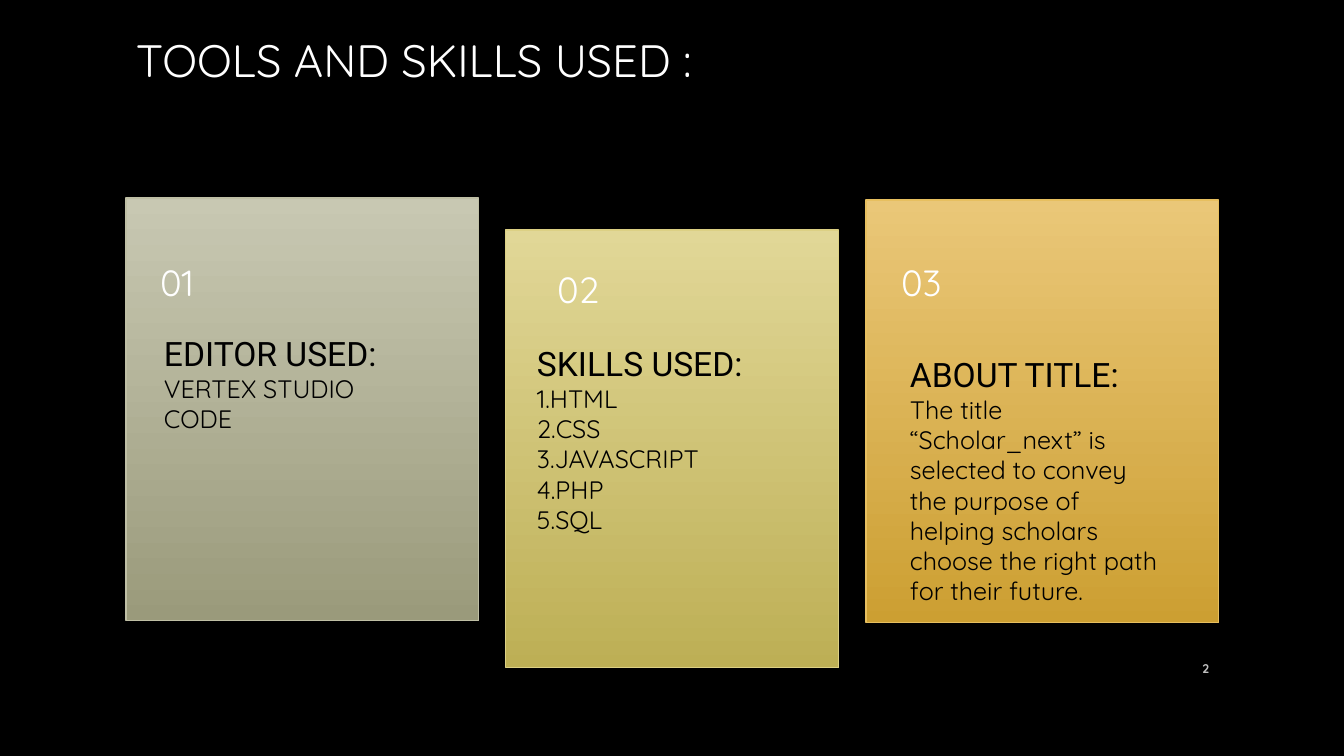
from dataclasses import dataclass
from typing import Any, NamedTuple

from pptx import Presentation
from pptx import util as u
from pptx.dml import color, fill
from pptx.enum import shapes, text

EMU_PER_PIXEL = 914400 / 100.8
BLACK = color.RGBColor(0x00, 0x00, 0x00)
WHITE = color.RGBColor(0xFF, 0xFF, 0xFF)
TITLE_GREY = color.RGBColor(0xA6, 0xA6, 0xA6)
PAGE_GREY = color.RGBColor(0xBF, 0xBF, 0xBF)
SAGE_LIGHT = color.RGBColor(0xC8, 0xC8, 0xB2)
SAGE_DARK = color.RGBColor(0x9A, 0x9A, 0x7B)
SAGE_EDGE = color.RGBColor(0xBF, 0xBF, 0xA5)
OLIVE_LIGHT = color.RGBColor(0xE1, 0xD7, 0x97)
OLIVE_DARK = color.RGBColor(0xBD, 0xAF, 0x55)
OLIVE_EDGE = color.RGBColor(0xDC, 0xD0, 0x84)
GOLD_LIGHT = color.RGBColor(0xEA, 0xC7, 0x78)
GOLD_DARK = color.RGBColor(0xCC, 0x9F, 0x32)
GOLD_EDGE = color.RGBColor(0xE7, 0xBF, 0x5F)

TITLE_FONT = {"name": "Quicksand", "size": u.Pt(32.4)}
NUMBER_FONT = {"name": "Quicksand", "size": u.Pt(26)}
HEADING_FONT = {"name": "Roboto", "size": u.Pt(24)}
BODY_FONT = {"name": "Quicksand", "size": u.Pt(18)}
PAGE_FONT = {"name": "Quicksand", "size": u.Pt(9), "bold": True}


def px(pixels: int) -> int:
    return round(pixels * EMU_PER_PIXEL)


NUMBER_FRAME = {
    "vertical_anchor": text.MSO_ANCHOR.MIDDLE,
    "margin_left": px(35),
    "margin_right": px(35),
    "margin_top": px(18),
    "margin_bottom": px(18),
}
BODY_FRAME = {"auto_size": text.MSO_AUTO_SIZE.SHAPE_TO_FIT_TEXT}
PAGE_FRAME = {"vertical_anchor": text.MSO_ANCHOR.MIDDLE}


class Box(NamedTuple):
    left: int
    top: int
    width: int
    height: int

    def emu(self) -> list[int]:
        return [px(length) for length in self]


class Gradient(NamedTuple):
    start: color.RGBColor
    end: color.RGBColor
    angle: int = 270


@dataclass
class Card:
    panel: Box
    gradient: Gradient
    edge: color.RGBColor
    number: str
    number_box: Box
    body_box: Box
    heading: str
    lines: list[str]


CARDS = [
    Card(Box(126, 198, 353, 423), Gradient(SAGE_LIGHT, SAGE_DARK), SAGE_EDGE,
         "01", Box(125, 241, 353, 88), Box(154, 328, 283, 82),
         "EDITOR USED:", ["VERTEX STUDIO CODE"]),
    Card(Box(506, 230, 333, 438), Gradient(OLIVE_LIGHT, OLIVE_DARK), OLIVE_EDGE,
         "02", Box(522, 253, 298, 78), Box(527, 338, 283, 204),
         "SKILLS USED:", ["1.HTML", "2.CSS", "3.JAVASCRIPT", "4.PHP", "5.SQL"]),
    Card(Box(866, 200, 353, 423), Gradient(GOLD_LIGHT, GOLD_DARK), GOLD_EDGE,
         "03", Box(866, 232, 353, 106), Box(900, 349, 280, 295),
         "ABOUT TITLE:",
         ["The title “Scholar_next” is selected to convey the purpose of "
          "helping scholars choose the right path for their future."]),
]


def apply_format(target: Any, values: dict[str, Any]) -> None:
    for attribute, value in values.items():
        setattr(target, attribute, value)


def apply_gradient(target: fill.FillFormat, gradient: Gradient) -> None:
    target.gradient()
    target.gradient_angle = gradient.angle
    for stop, shade in zip(target.gradient_stops, gradient[:2]):
        stop.color.rgb = shade


def add_frame(box: Box, frame_format: dict[str, Any]) -> Any:
    frame = slide.shapes.add_textbox(*box.emu()).text_frame
    frame.word_wrap = True
    apply_format(frame, frame_format)
    return frame


def write(paragraph: Any, words: str, font_format: dict[str, Any],
          shade: color.RGBColor) -> Any:
    run = paragraph.add_run()
    run.text = words
    apply_format(run.font, font_format)
    run.font.color.rgb = shade
    return run


def draw_panel(card: Card) -> None:
    panel = slide.shapes.add_shape(shapes.MSO_SHAPE.RECTANGLE, *card.panel.emu())
    panel.shadow.inherit = False
    apply_gradient(panel.fill, card.gradient)
    panel.line.color.rgb = card.edge
    panel.line.width = u.Pt(0.75)


def draw_card(card: Card) -> None:
    draw_panel(card)
    number = add_frame(card.number_box, NUMBER_FRAME).paragraphs[0]
    number.line_spacing = 0.9
    write(number, card.number, NUMBER_FONT, WHITE)
    body = add_frame(card.body_box, BODY_FRAME)
    write(body.paragraphs[0], card.heading, HEADING_FONT, BLACK)
    for line in card.lines:
        write(body.add_paragraph(), line, BODY_FONT, BLACK)


deck = Presentation()
deck.slide_width, deck.slide_height = px(1344), px(756)
slide = deck.slides.add_slide(deck.slide_layouts[6])
slide.background.fill.solid()
slide.background.fill.fore_color.rgb = BLACK

title = add_frame(Box(126, 27, 1094, 60), {}).paragraphs[0]
title_run = write(title, "TOOLS AND SKILLS USED :", TITLE_FONT, WHITE)
apply_gradient(title_run.font.fill, Gradient(WHITE, TITLE_GREY, 267))

for card in CARDS:
    draw_card(card)

page = add_frame(Box(1159, 648, 60, 40), PAGE_FRAME).paragraphs[0]
page.alignment = text.PP_ALIGN.RIGHT
write(page, "2", PAGE_FONT, PAGE_GREY)

deck.save("out.pptx")
